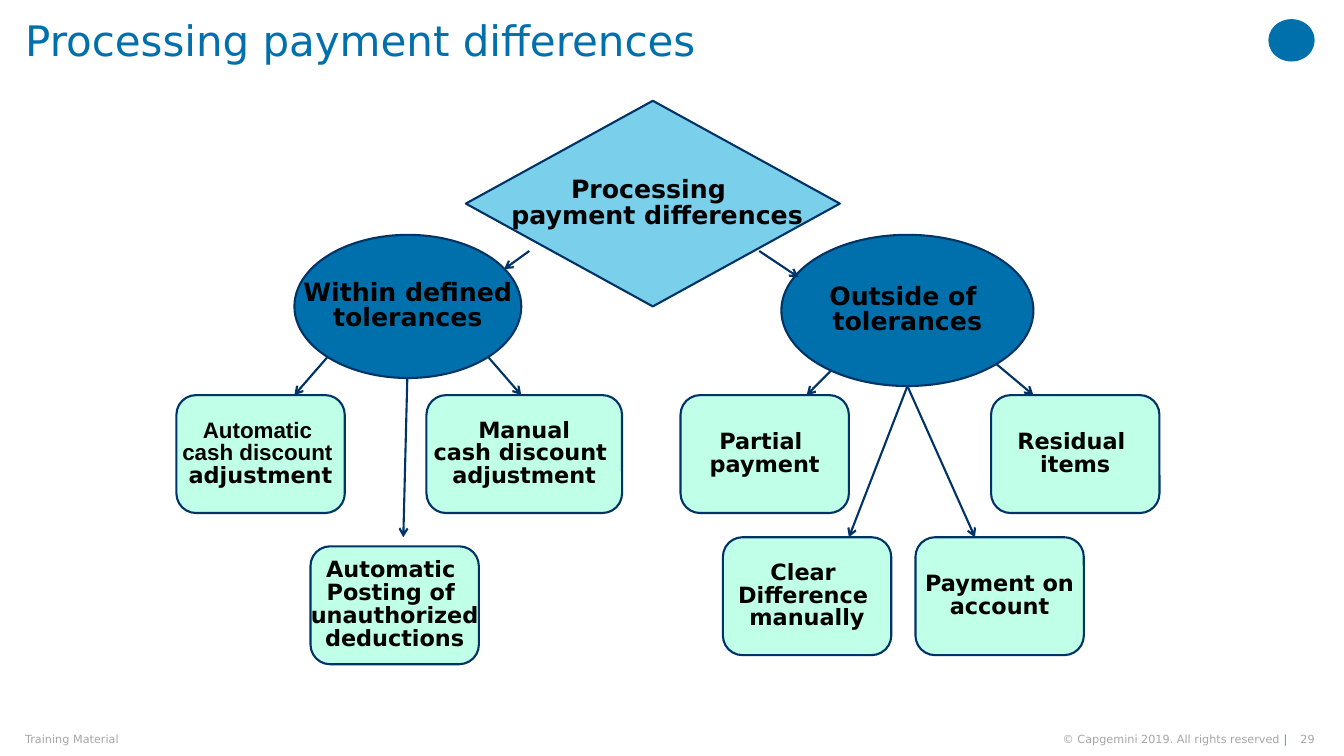
from dataclasses import dataclass

from lxml import etree
from pptx import Presentation, util as u
from pptx.dml.color import RGBColor
from pptx.enum import shapes, text
from pptx.oxml import ns

PX = 9144


@dataclass(frozen=True)
class Theme:
    font: str = "DejaVu Sans"
    alternate_font: str = "Arial"
    blue: str = "0070AD"
    sky: str = "12ABDB"
    mint: str = "C0FFE8"
    navy: str = "003366"
    black: str = "000000"
    grey: str = "A6A6A6"
    title_size: int = 30
    branch_size: int = 18
    leaf_size: int = 16
    footer_size: int = 8
    outline: float = 1.5


class SlideBuilder:
    def __init__(self, presentation, theme):
        self.theme = theme
        self.slide = presentation.slides.add_slide(presentation.slide_layouts[5])

    def px(self, *lengths):
        return [u.Emu(length * PX) for length in lengths]

    def style(self, paragraph, size, color, bold=False, font=None):
        paragraph.font.name = font or self.theme.font
        paragraph.font.size = u.Pt(size)
        paragraph.font.bold = bold
        paragraph.font.color.rgb = RGBColor.from_string(color)

    def margins(self, frame, top=0):
        frame.margin_left = frame.margin_right = frame.margin_bottom = 0
        frame.margin_top = u.Emu(top * PX)

    def title(self, words, box):
        shape = self.slide.shapes.title
        shape.left, shape.top, shape.width, shape.height = self.px(*box)
        frame = shape.text_frame
        frame.text = words
        frame.auto_size = text.MSO_AUTO_SIZE.NONE
        frame.vertical_anchor = text.MSO_ANCHOR.TOP
        self.margins(frame, top=20)
        paragraph = frame.paragraphs[0]
        paragraph.alignment = text.PP_ALIGN.LEFT
        paragraph.line_spacing = 0.9
        self.style(paragraph, self.theme.title_size, self.theme.blue)

    def footer(self, parts, box, alignment):
        frame = self.slide.shapes.add_textbox(*self.px(*box)).text_frame
        frame.word_wrap = False
        frame.vertical_anchor = text.MSO_ANCHOR.MIDDLE
        self.margins(frame)
        paragraph = frame.paragraphs[0]
        paragraph.alignment = alignment
        self.style(paragraph, self.theme.footer_size, self.theme.grey)
        for words, color in parts:
            run = paragraph.add_run()
            run.text = words
            run.font.color.rgb = RGBColor.from_string(color)

    def shape(self, kind, box, fill, outline=None, opacity=None):
        shape = self.slide.shapes.add_shape(kind, *self.px(*box))
        shape.shadow.inherit = False
        shape.fill.solid()
        shape.fill.fore_color.rgb = RGBColor.from_string(fill)
        if opacity:
            color = shape.fill._xPr.find(".//" + ns.qn("a:srgbClr"))
            etree.SubElement(color, ns.qn("a:alpha"), val=str(opacity * 1000))
        if outline:
            shape.line.color.rgb = RGBColor.from_string(outline)
            shape.line.width = u.Pt(self.theme.outline)
        else:
            shape.line.fill.background()
        return shape

    def node(self, kind, box, words, size, fill, opacity=None, fonts=()):
        frame = self.shape(kind, box, fill, self.theme.navy, opacity).text_frame
        frame.text = words
        frame.word_wrap = False
        frame.vertical_anchor = text.MSO_ANCHOR.MIDDLE
        for index, paragraph in enumerate(frame.paragraphs):
            paragraph.alignment = text.PP_ALIGN.CENTER
            paragraph.line_spacing = 0.85
            font = fonts[index] if index < len(fonts) else None
            self.style(paragraph, size, self.theme.black, True, font)

    def arrow(self, *ends):
        connector = self.slide.shapes.add_connector(shapes.MSO_CONNECTOR.STRAIGHT, *self.px(*ends))
        connector.line.color.rgb = RGBColor.from_string(self.theme.navy)
        connector.line.width = u.Pt(self.theme.outline)
        etree.SubElement(connector.line._get_or_add_ln(), ns.qn("a:tailEnd"), type="arrow")
        etree.SubElement(connector._element.spPr, ns.qn("a:effectLst"))


def main():
    presentation = Presentation()
    presentation.slide_width = u.Emu(1333 * PX)
    presentation.slide_height = u.Emu(750 * PX)
    theme = Theme()
    builder = SlideBuilder(presentation, theme)
    kinds = shapes.MSO_SHAPE
    align = text.PP_ALIGN

    builder.title("Processing payment differences", (25, 0, 713, 79))
    builder.shape(kinds.OVAL, (1258, 19, 46, 42), theme.blue)

    builder.node(kinds.FLOWCHART_DECISION, (462, 100, 371, 204),
                 "Processing \n payment differences", theme.branch_size, theme.sky, opacity=56)
    branches = [
        ((292, 233, 225, 142), " Within defined \ntolerances"),
        ((775, 233, 250, 150), "Outside of \ntolerances"),
    ]
    for box, words in branches:
        builder.node(kinds.OVAL, box, words, theme.branch_size, theme.blue)

    upper, lower, leaf_width, leaf_height = 392, 533, 167, 117
    leaves = [
        (175, upper, leaf_width, "Automatic \ncash discount \nadjustment", [theme.alternate_font] * 2),
        (423, upper, 194, "Manual\ncash discount \nadjustment", []),
        (308, 542, leaf_width, "Automatic \nPosting of \nunauthorized\ndeductions", []),
        (675, upper, leaf_width, "Partial \npayment", []),
        (983, upper, leaf_width, "Residual \nitems", []),
        (717, lower, leaf_width, "Clear \nDifference \nmanually", []),
        (908, lower, leaf_width, "Payment on\naccount", []),
    ]
    for left, top, width, words, fonts in leaves:
        builder.node(kinds.ROUNDED_RECTANGLE, (left, top, width, leaf_height),
                     words, theme.leaf_size, theme.mint, fonts=fonts)

    arrows = [
        (525, 249, 500, 267),
        (753, 249, 792, 275),
        (325, 354, 292, upper),
        (404, 375, 400, lower),
        (484, 354, 517, upper),
        (825, 367, 800, upper),
        (900, 383, 842, lower),
        (900, 383, 967, lower),
        (988, 361, 1025, upper),
    ]
    for ends in arrows:
        builder.arrow(*ends)

    copyright_line = [("© Capgemini 2019. All rights reserved ", theme.grey), ("|", theme.sky)]
    builder.footer([("Training Material", theme.grey)], (25, 727, 516, 13), align.LEFT)
    builder.footer(copyright_line, (986, 727, 291, 13), align.RIGHT)
    builder.footer([("29", theme.grey)], (1285, 727, 19, 13), align.RIGHT)
    presentation.save("out.pptx")


if __name__ == "__main__":
    main()
